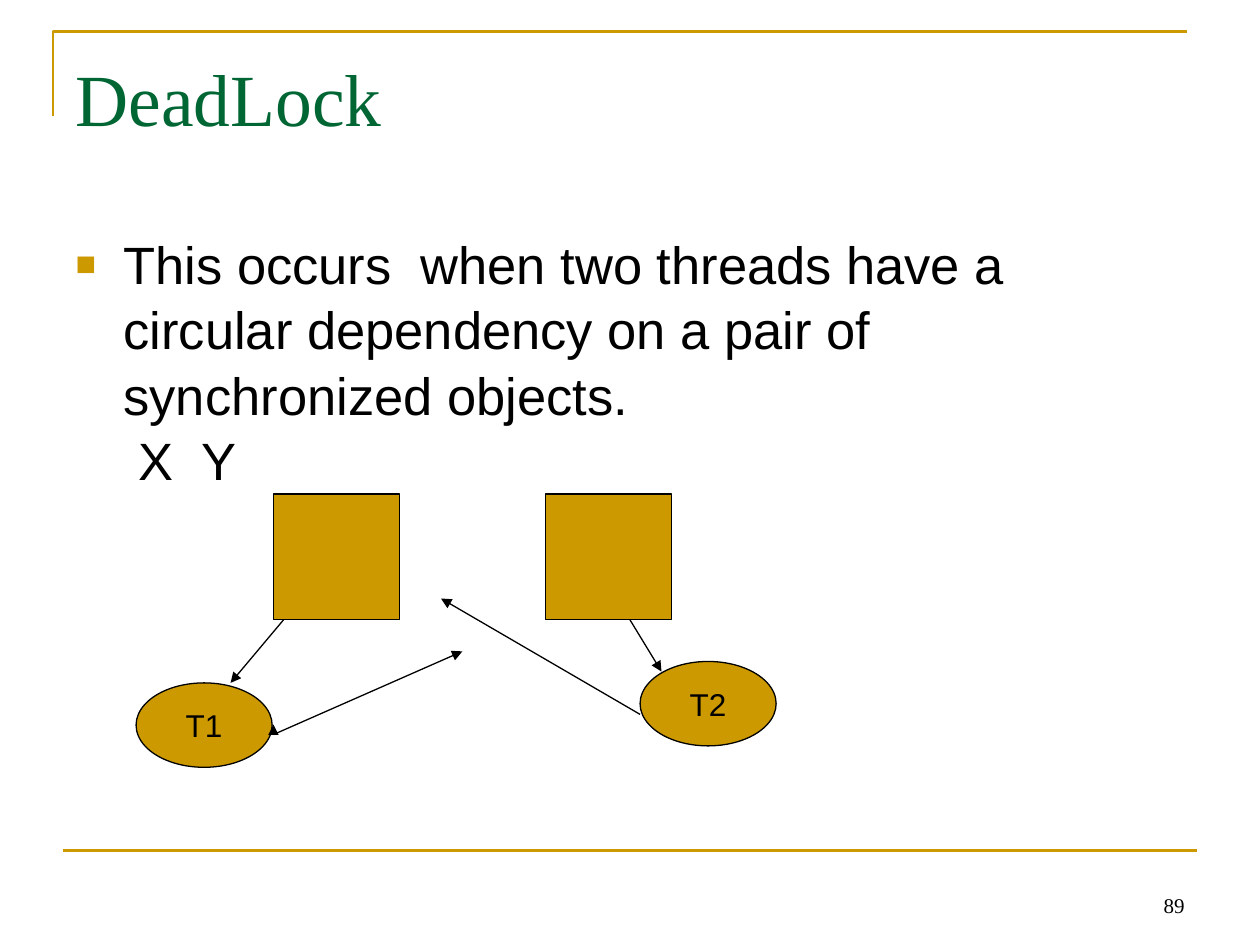
from lxml.etree import SubElement as Sub
from pptx import Presentation
from pptx.dml.color import RGBColor as Rgb
from pptx.enum.shapes import MSO_CONNECTOR as Conn, MSO_SHAPE as Kind
from pptx.enum.text import MSO_ANCHOR as Anchor, MSO_AUTO_SIZE as Fit, PP_ALIGN as Align
from pptx.oxml.ns import qn
from pptx.util import Inches, Pt

HUES = {"gold": "CC9900", "green": "006633", "black": "000000"}


def hue(name):
    return Rgb.from_string(HUES[name])


def put(item, values):
    for key, value in values.items():
        setattr(item, key, value)


class Deck:
    head = {"name": "Times New Roman", "size": Pt(42)}
    body = {"name": "Arial", "size": Pt(30)}
    label = {"name": "Arial", "size": Pt(18)}
    foot = {"name": "Times New Roman", "size": Pt(12)}

    def __init__(self):
        self.file = Presentation()
        put(self.file, {"slide_width": Inches(10), "slide_height": Inches(7.5)})
        self.slide = self.file.slides.add_slide(self.file.slide_layouts[1])
        self.shapes = self.slide.shapes

    def place(self, shape, *box):
        put(shape, dict(zip(("left", "top", "width", "height"), map(Inches, box))))

    def frame(self, shape, anchor=Anchor.TOP, wrap=True, top=0.05):
        frame = shape.text_frame
        put(frame, {"auto_size": Fit.NONE, "word_wrap": wrap,
                    "vertical_anchor": anchor, "margin_top": Inches(top)})
        return frame

    def style(self, para, text, font, color="black", align=Align.LEFT, space=1):
        para.text = text
        put(para, {"alignment": align, "line_spacing": space, "space_before": Pt(0)})
        put(para.font, font)
        para.font.color.rgb = hue(color)

    def title(self, text, *box):
        shape = self.shapes.title
        self.place(shape, *box)
        frame = self.frame(shape, top=0.12)
        self.style(frame.paragraphs[0], text, self.head, "green")

    def list(self, text, names, stops, *box):
        shape = self.slide.placeholders[1]
        self.place(shape, *box)
        frame = self.frame(shape, top=0.07)
        first, last = frame.paragraphs[0], frame.add_paragraph()
        self.bullet(first)
        self.tabs(last, stops)
        self.style(first, text, self.body, space=1.04)
        self.style(last, "".join("\t" + name for name in names), self.body, space=1.04)

    def bullet(self, para):
        props = para._p.get_or_add_pPr()
        inset = Inches(0.38)
        props.set("marL", str(inset))
        props.set("indent", str(-inset))
        Sub(Sub(props, qn("a:buClr")), qn("a:srgbClr"), val=HUES["gold"])
        Sub(props, qn("a:buSzPct"), val="65000")
        Sub(props, qn("a:buFont"), typeface="Arial")
        Sub(props, qn("a:buChar"), char="■")

    def tabs(self, para, stops):
        props = para._p.get_or_add_pPr()
        props.set("marL", "0")
        props.set("indent", "0")
        Sub(props, qn("a:buNone"))
        row = Sub(props, qn("a:tabLst"))
        for stop in stops:
            Sub(row, qn("a:tab"), pos=str(Inches(stop)), algn="l")

    def node(self, kind, *box, text=""):
        shape = self.shapes.add_shape(kind, *map(Inches, box))
        shape.shadow.inherit = False
        shape.fill.solid()
        shape.fill.fore_color.rgb = hue("gold")
        self.stroke(shape.line, "black", 0.75)
        if text:
            frame = self.frame(shape, Anchor.MIDDLE, False)
            self.style(frame.paragraphs[0], text, self.label, align=Align.CENTER)

    def stroke(self, line, color, width):
        line.color.rgb = hue(color)
        line.width = Pt(width)

    def line(self, *ends, color="black", width=0.75, arrow=True):
        link = self.shapes.add_connector(Conn.STRAIGHT, *map(Inches, ends))
        self.stroke(link.line, color, width)
        props = link._element.spPr
        if arrow:
            Sub(props.find(qn("a:ln")), qn("a:tailEnd"), type="triangle")
        Sub(props, qn("a:effectLst"))

    def corner(self, *points):
        first, *rest = [tuple(map(Inches, point)) for point in points]
        pen = self.shapes.build_freeform(*first)
        pen.add_line_segments(rest, close=False)
        shape = pen.convert_to_shape()
        shape.shadow.inherit = False
        shape.fill.background()
        self.stroke(shape.line, "gold", 1.5)

    def number(self, text, *box):
        shape = self.shapes.add_textbox(*map(Inches, box))
        frame = self.frame(shape, Anchor.BOTTOM)
        self.style(frame.paragraphs[0], text, self.foot, align=Align.RIGHT)


def main():
    deck = Deck()
    deck.corner((0.42, 0.92), (0.42, 0.25), (9.42, 0.25))
    deck.line(0.5, 6.75, 9.5, 6.75, color="gold", width=1.5, arrow=False)
    deck.title("DeadLock", 0.5, 0.3, 9, 1.25)
    deck.list("This occurs  when two threads have a circular dependency "
              "on a pair of synchronized objects.",
              "XY", (1.07, 6.19), 0.5, 1.75, 9, 4.95)
    for left in (2.17, 4.33):
        deck.node(Kind.RECTANGLE, left, 3.92, 1, 1)
    for text, left, top in (("T1", 1.08, 5.42), ("T2", 5.08, 5.25)):
        deck.node(Kind.OVAL, left, top, 1.08, 0.67, text=text)
    for ends in ((5, 4.92, 5.25, 5.33), (2.25, 4.92, 1.83, 5.42),
                 (2.17, 5.83, 2.17, 5.75), (2.17, 5.83, 3.67, 5.17),
                 (5.08, 5.67, 3.5, 4.75)):
        deck.line(*ends)
    deck.number("89", 7.17, 6.83, 2.33, 0.5)
    deck.file.save("out.pptx")


if __name__ == "__main__":
    main()
